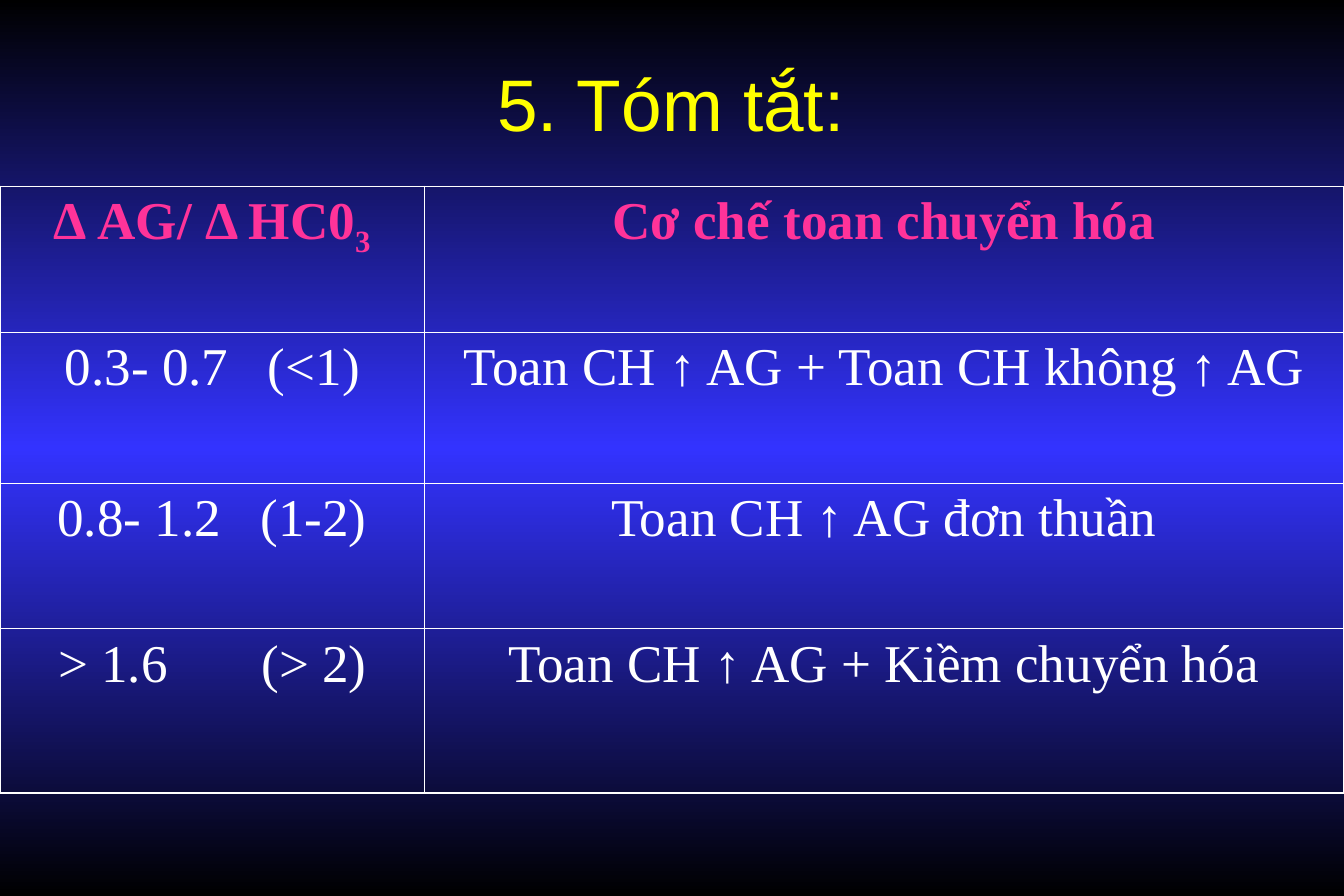
import copy
import lxml.etree
import pptx
import pptx.dml.color
import pptx.enum.text
import pptx.oxml.ns
import pptx.util

Pt = pptx.util.Pt
RGB = pptx.dml.color.RGBColor.from_string
qn = pptx.oxml.ns.qn

TITLE = "5. Tóm tắt:"
HEAD = [[("Δ AG/ Δ HC0", 0), ("3", -25000)], [("Cơ chế toan chuyển hóa", 0)]]
ROWS = [
    ("0.3- 0.7", "(<1)", 39, "Toan CH ↑ AG + Toan CH không ↑ AG"),
    ("0.8- 1.2", "(1-2)", 34.5, "Toan CH ↑ AG đơn thuần"),
    ("> 1.6", "(> 2)", 35, "Toan CH ↑ AG + Kiềm chuyển hóa"),
]
WIDTHS = [255.6, 554.4]
HEIGHTS = [87.8, 91, 87.8, 99]
TOP = 112.3
TAB = 122.5
THEME = {
    "sky": [(0, "000000"), (0.5, "3333FF"), (1, "000000")],
    "title": ("Arial", 44, "FFFF00", False),
    "head": ("Times New Roman", 32, "FF3399", True),
    "body": ("Times New Roman", 32, "FFFFFF", False),
    "line": "FFFFFF", "outer": 1.08, "inner": 0.45,
}
ALIGN = pptx.enum.text.PP_ALIGN


def style(para, key, align=ALIGN.CENTER):
    font = para.font
    font.name, size, color, font.bold = THEME[key]
    font.size = Pt(size)
    font.color.rgb = RGB(color)
    para.alignment = align
    para.space_before = Pt(0)


def paint(slide):
    fill = slide.background.fill
    fill.gradient()
    fill.gradient_angle = 270
    stops = slide._element.xpath(".//a:gsLst")[0]
    stops.append(copy.deepcopy(stops[0]))
    for stop, (place, color) in zip(fill.gradient_stops, THEME["sky"]):
        stop.position = place
        stop.color.rgb = RGB(color)


def border(cell, row, col):
    edges = {"lnL": col == 0, "lnR": col == len(WIDTHS) - 1,
             "lnT": row == 0, "lnB": row == len(HEIGHTS) - 1}
    props = cell._tc.get_or_add_tcPr()
    for tag, rim in edges.items():
        width = Pt(THEME["outer" if rim else "inner"])
        line = lxml.etree.SubElement(props, qn("a:" + tag), w=str(width))
        solid = lxml.etree.SubElement(line, qn("a:solidFill"))
        lxml.etree.SubElement(solid, qn("a:srgbClr"), val=THEME["line"])


def add_tab(para, place):
    tabs = lxml.etree.SubElement(para._p.get_or_add_pPr(), qn("a:tabLst"))
    lxml.etree.SubElement(tabs, qn("a:tab"), pos=str(Pt(place)), algn="l")


def main():
    deck = pptx.Presentation()
    deck.slide_width, deck.slide_height = Pt(810), Pt(540)
    slide = deck.slides.add_slide(deck.slide_layouts[5])
    paint(slide)

    title = slide.shapes.title
    title.left, title.top, title.width, title.height = map(Pt, (60.5, 16.5, 688, 90))
    title.text_frame.text = TITLE
    title.text_frame.vertical_anchor = pptx.enum.text.MSO_ANCHOR.MIDDLE
    style(title.text_frame.paragraphs[0], "title")

    table = slide.shapes.add_table(
        len(HEIGHTS), len(WIDTHS), 0, Pt(TOP), Pt(sum(WIDTHS)), Pt(sum(HEIGHTS))).table
    table.first_row = table.horz_banding = False
    for col, width in zip(table.columns, WIDTHS):
        col.width = Pt(width)
    for row, height in zip(table.rows, HEIGHTS):
        row.height = Pt(height)
    for row in range(len(HEIGHTS)):
        for col in range(len(WIDTHS)):
            cell = table.cell(row, col)
            border(cell, row, col)
            cell.fill.background()

    for col, runs in enumerate(HEAD):
        para = table.cell(0, col).text_frame.paragraphs[0]
        for text, base in runs:
            run = para.add_run()
            run.text = text
            if base:
                run._r.get_or_add_rPr().set("baseline", str(base))
        style(para, "head")

    for row, (ratio, span, left, cause) in enumerate(ROWS, 1):
        cell = table.cell(row, 0)
        cell.text = f"{ratio}\t{span}"
        cell.margin_left = Pt(left)
        para = cell.text_frame.paragraphs[0]
        add_tab(para, TAB)
        style(para, "body", ALIGN.LEFT)
        cell = table.cell(row, 1)
        cell.text = cause
        style(cell.text_frame.paragraphs[0], "body")

    deck.save("out.pptx")


if __name__ == "__main__":
    main()
